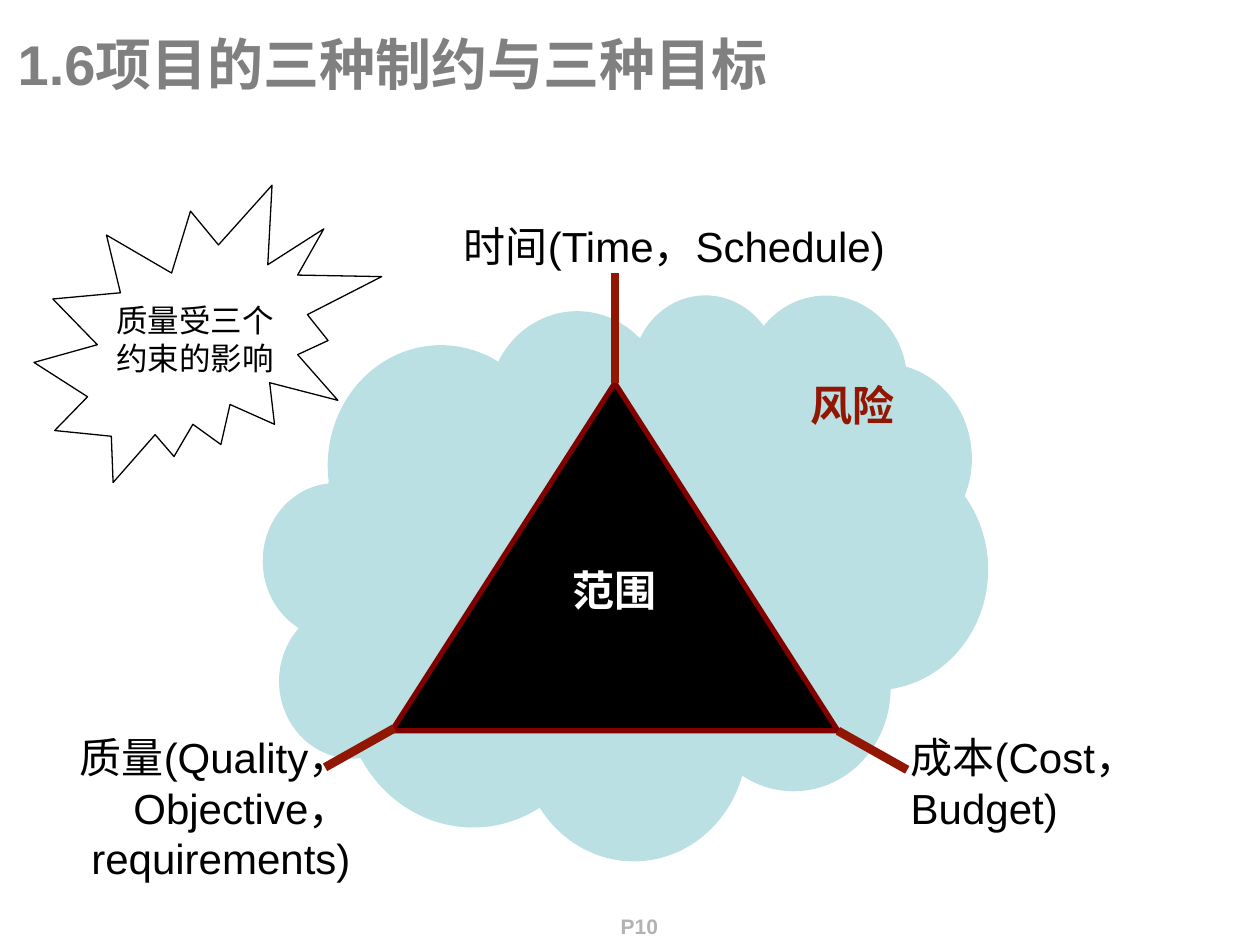
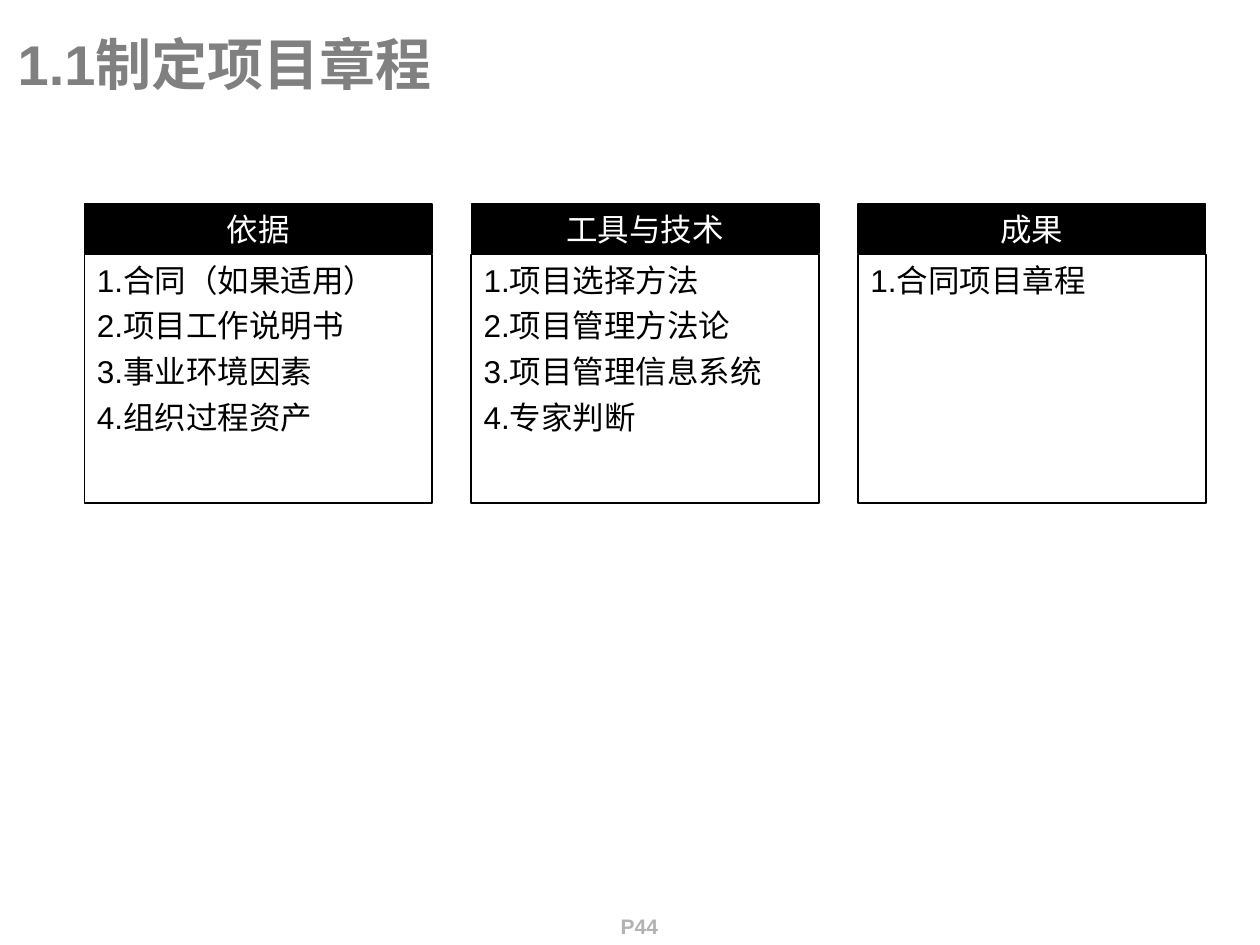
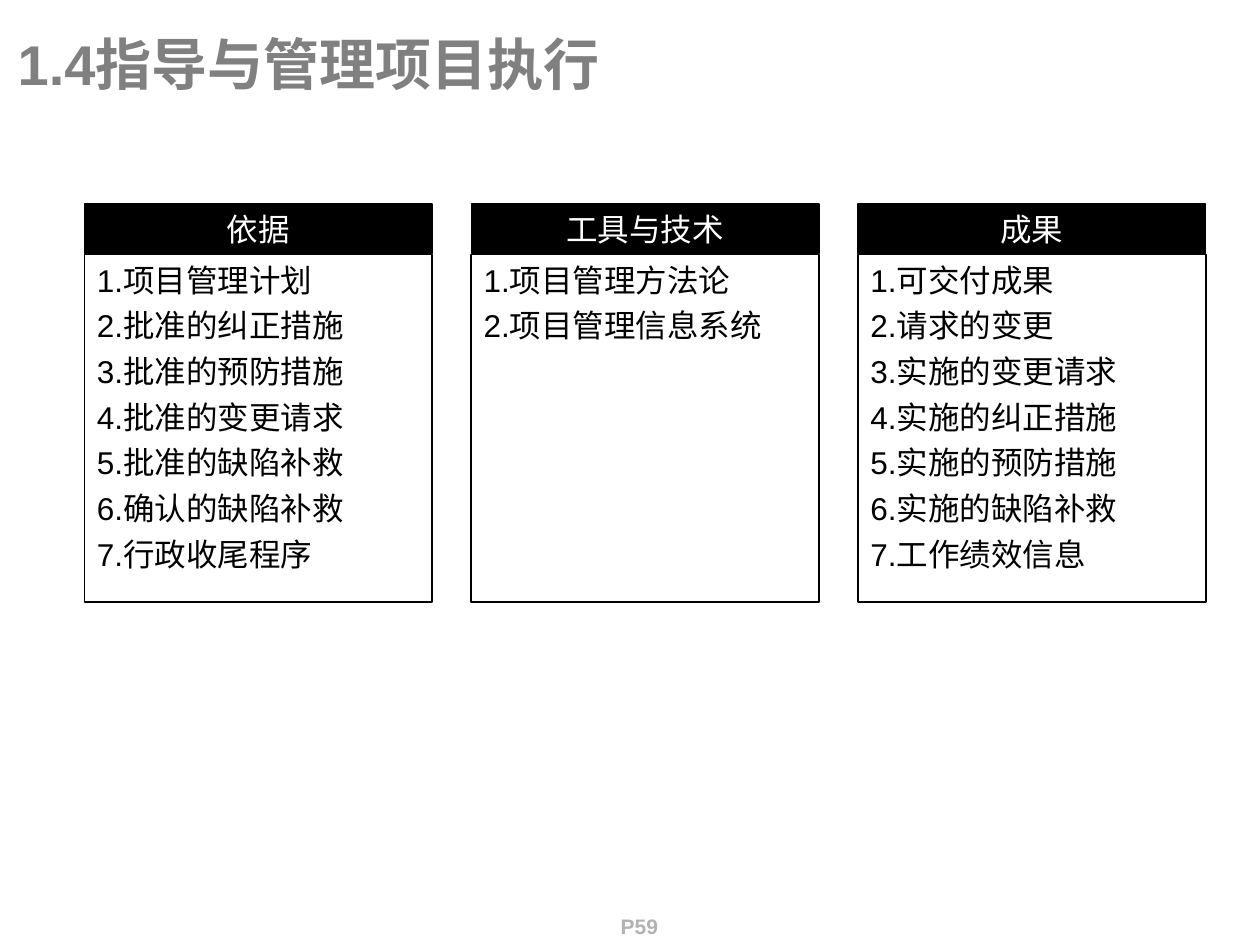
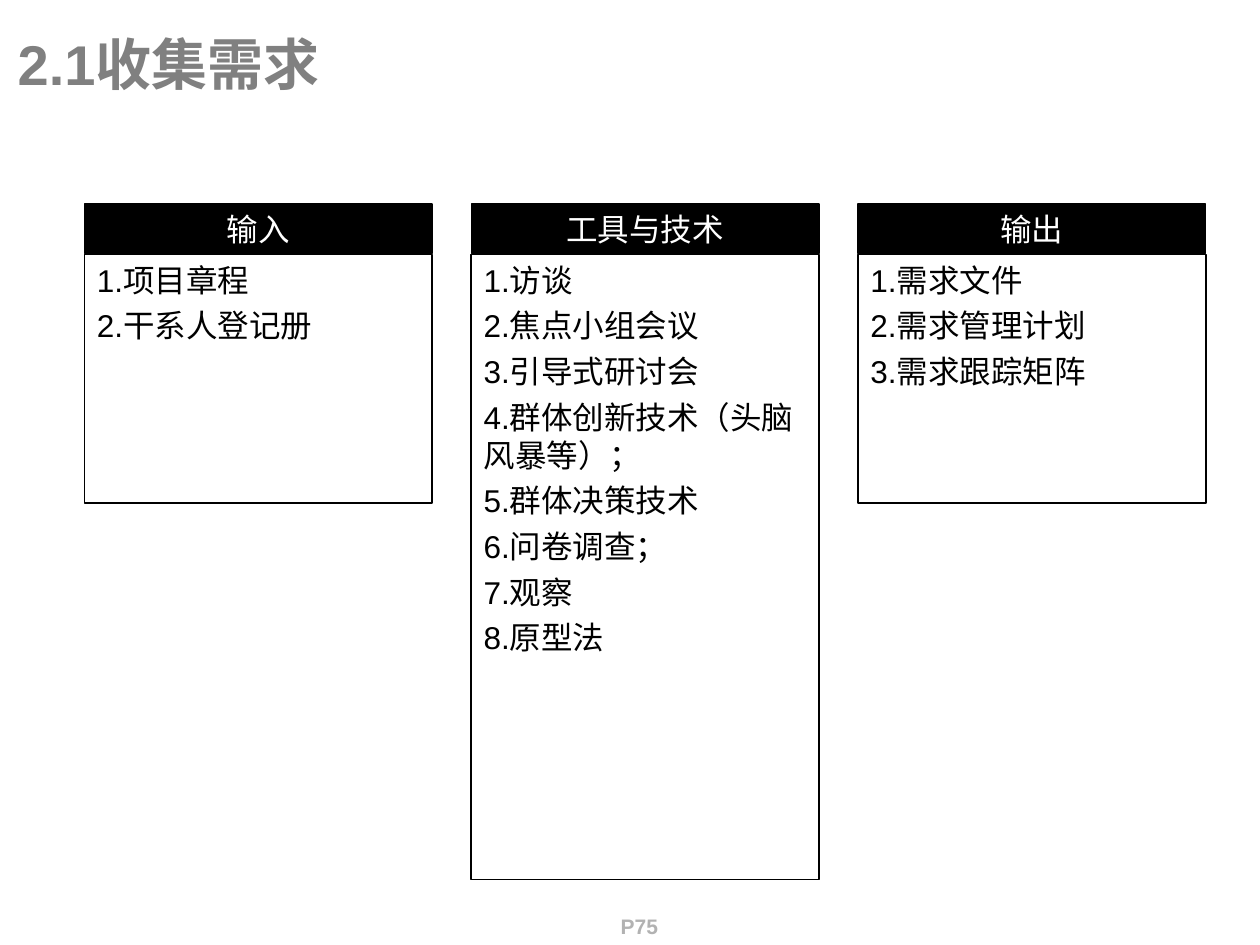
from lxml.etree import SubElement
from pptx import Presentation
from pptx.dml.color import RGBColor
from pptx.enum.lang import MSO_LANGUAGE_ID
from pptx.enum.shapes import MSO_CONNECTOR, MSO_SHAPE
from pptx.enum.text import MSO_ANCHOR, MSO_AUTO_SIZE, PP_ALIGN
from pptx.oxml.ns import qn
from pptx.util import Inches, Pt

BLACK = RGBColor(0x00, 0x00, 0x00)
WHITE = RGBColor(0xFF, 0xFF, 0xFF)
TITLE_GREY = RGBColor(0x80, 0x80, 0x80)
PAGE_GREY = RGBColor(0xB2, 0xB2, 0xB2)
CLOUD_BLUE = RGBColor(0xBB, 0xE0, 0xE3)
MAROON = RGBColor(0x80, 0x00, 0x00)
BRICK = RGBColor(0x91, 0x17, 0x03)

FONT = "Arial"
TITLE_ONLY = 5

COLUMN_LEFT, COLUMN_PITCH, COLUMN_WIDTH = 0.67, 3.07, 2.76
HEADER_TOP, HEADER_HEIGHT, LIST_TOP = 1.62, 0.39, 2.02
SHORT, MEDIUM, TALL = 1.97, 2.76, 4.96

PROCESS_SLIDES = [
    ("1.1制定项目章程", "P44", [
        ("依据", SHORT, ["合同（如果适用）", "项目工作说明书", "事业环境因素", "组织过程资产"]),
        ("工具与技术", SHORT, ["项目选择方法", "项目管理方法论", "项目管理信息系统", "专家判断"]),
        ("成果", SHORT, ["合同项目章程"]),
    ]),
    ("1.4指导与管理项目执行", "P59", [
        ("依据", MEDIUM, ["项目管理计划", "批准的纠正措施", "批准的预防措施", "批准的变更请求",
                        "批准的缺陷补救", "确认的缺陷补救", "行政收尾程序"]),
        ("工具与技术", MEDIUM, ["项目管理方法论", "项目管理信息系统"]),
        ("成果", MEDIUM, ["可交付成果", "请求的变更", "实施的变更请求", "实施的纠正措施",
                        "实施的预防措施", "实施的缺陷补救", "工作绩效信息"]),
    ]),
    ("2.1收集需求", "P75", [
        ("输入", SHORT, ["项目章程", "干系人登记册"]),
        ("工具与技术", TALL, ["访谈", "焦点小组会议", "引导式研讨会", "群体创新技术（头脑风暴等）；",
                          "群体决策技术", "问卷调查；", "观察", "原型法"]),
        ("输出", SHORT, ["需求文件", "需求管理计划", "需求跟踪矩阵"]),
    ]),
]


def box(left, top, width, height):
    return [Inches(v) for v in (left, top, width, height)]


def write(tf, lines, size, color=BLACK, bold=False, align=PP_ALIGN.LEFT, gap=0):
    """Fill a text frame with one paragraph a line, gap points apart."""
    font = {"name": FONT, "size": Pt(size), "bold": bold,
            "language_id": MSO_LANGUAGE_ID.SIMPLIFIED_CHINESE}
    for i, line in enumerate(lines):
        p = tf.paragraphs[0] if i == 0 else tf.add_paragraph()
        p.alignment = align
        p.space_before = Pt(gap if i else 0)
        r = p.add_run()
        r.text = line
        for name, value in font.items():
            setattr(r.font, name, value)
        r.font.color.rgb = color


def add_text(s, at, text, size=24, **style):
    tf = s.shapes.add_textbox(*box(*at)).text_frame
    tf.word_wrap = True
    write(tf, [text], size, **style)


def add_shape(s, kind, at, fill=None, line=None, width=0.75):
    sp = s.shapes.add_shape(kind, *box(*at))
    sp.shadow.inherit = False
    if fill is None:
        sp.fill.background()
    else:
        sp.fill.solid()
        sp.fill.fore_color.rgb = fill
    if line is None:
        sp.line.fill.background()
    else:
        sp.line.color.rgb = line
        sp.line.width = Pt(width)
    return sp


def add_spoke(s, start, end):
    line = s.shapes.add_connector(MSO_CONNECTOR.STRAIGHT,
                                  *[Inches(v) for v in (*start, *end)])
    line.line.color.rgb = BRICK
    line.line.width = Pt(5)
    SubElement(line._element.spPr, qn("a:effectLst"))


def add_slide(prs, title, page):
    s = prs.slides.add_slide(prs.slide_layouts[TITLE_ONLY])
    sp = s.shapes.title
    sp.left, sp.top, sp.width, sp.height = box(0.04, 0.17, 9.96, 0.66)
    tf = sp.text_frame
    tf.auto_size = MSO_AUTO_SIZE.NONE
    tf.vertical_anchor = MSO_ANCHOR.MIDDLE
    write(tf, [title], 32, TITLE_GREY, bold=True)
    add_text(s, (4.76, 7.2, 0.63, 0.33), page, size=12, color=PAGE_GREY,
             bold=True, align=PP_ALIGN.CENTER)
    return s


def add_column(s, left, heading, height, items):
    """Black heading bar over an outlined box with a numbered list."""
    header = add_shape(s, MSO_SHAPE.RECTANGLE,
                       (left, HEADER_TOP, COLUMN_WIDTH, HEADER_HEIGHT), BLACK, BLACK)
    body = add_shape(s, MSO_SHAPE.RECTANGLE,
                     (left, LIST_TOP, COLUMN_WIDTH, height), line=BLACK, width=1)
    for sp in (header, body):
        sp.text_frame.vertical_anchor = MSO_ANCHOR.TOP
    write(header.text_frame, [heading], 18, WHITE, align=PP_ALIGN.CENTER)
    numbered = [f"{i}.{item}" for i, item in enumerate(items, 1)]
    write(body.text_frame, numbered, 18, gap=4.5)


def add_process_slide(prs, title, page, columns):
    s = add_slide(prs, title, page)
    for i, column in enumerate(columns):
        add_column(s, COLUMN_LEFT + i * COLUMN_PITCH, *column)


def add_constraint_slide(prs):
    s = add_slide(prs, "1.6项目的三种制约与三种目标", "P10")
    cloud = add_shape(s, MSO_SHAPE.CLOUD_CALLOUT, (2.09, 2.33, 5.75, 4.49), CLOUD_BLUE)
    cloud.adjustments[0], cloud.adjustments[1] = 0.03, -0.08
    add_shape(s, MSO_SHAPE.ISOSCELES_TRIANGLE, (3.11, 3.04, 3.54, 2.76), BLACK, MAROON, 3)

    right = PP_ALIGN.RIGHT
    add_text(s, (5.94, 2.96, 1.26, 0.5), "风险", color=BRICK, bold=True, align=right)
    add_text(s, (2.87, 1.7, 4.25, 0.5), "时间(Time，Schedule)", align=right)
    add_text(s, (0.12, 5.76, 2.76, 1.3), "质量(Quality，Objective，requirements)", align=right)
    add_text(s, (7.13, 5.76, 2.76, 0.9), "成本(Cost，Budget)")
    for start, end in [((4.88, 3.04), (4.88, 2.17)),
                       ((2.58, 6.09), (3.13, 5.78)),
                       ((6.65, 5.8), (7.2, 6.11))]:
        add_spoke(s, start, end)
    add_text(s, (4.37, 4.43, 0.94, 0.5), "范围", color=WHITE, bold=True, align=right)

    burst = add_shape(s, MSO_SHAPE.EXPLOSION2, (0.27, 1.47, 2.76, 2.36), line=BLACK)
    tf = burst.text_frame
    tf.word_wrap = False
    tf.vertical_anchor = MSO_ANCHOR.MIDDLE
    write(tf, ["质量受三个", "约束的影响"], 18, align=PP_ALIGN.CENTER)


def main():
    prs = Presentation()
    prs.slide_width, prs.slide_height = Inches(10), Inches(7.5)
    add_constraint_slide(prs)
    for title, page, columns in PROCESS_SLIDES:
        add_process_slide(prs, title, page, columns)
    prs.save("out.pptx")


if __name__ == "__main__":
    main()
